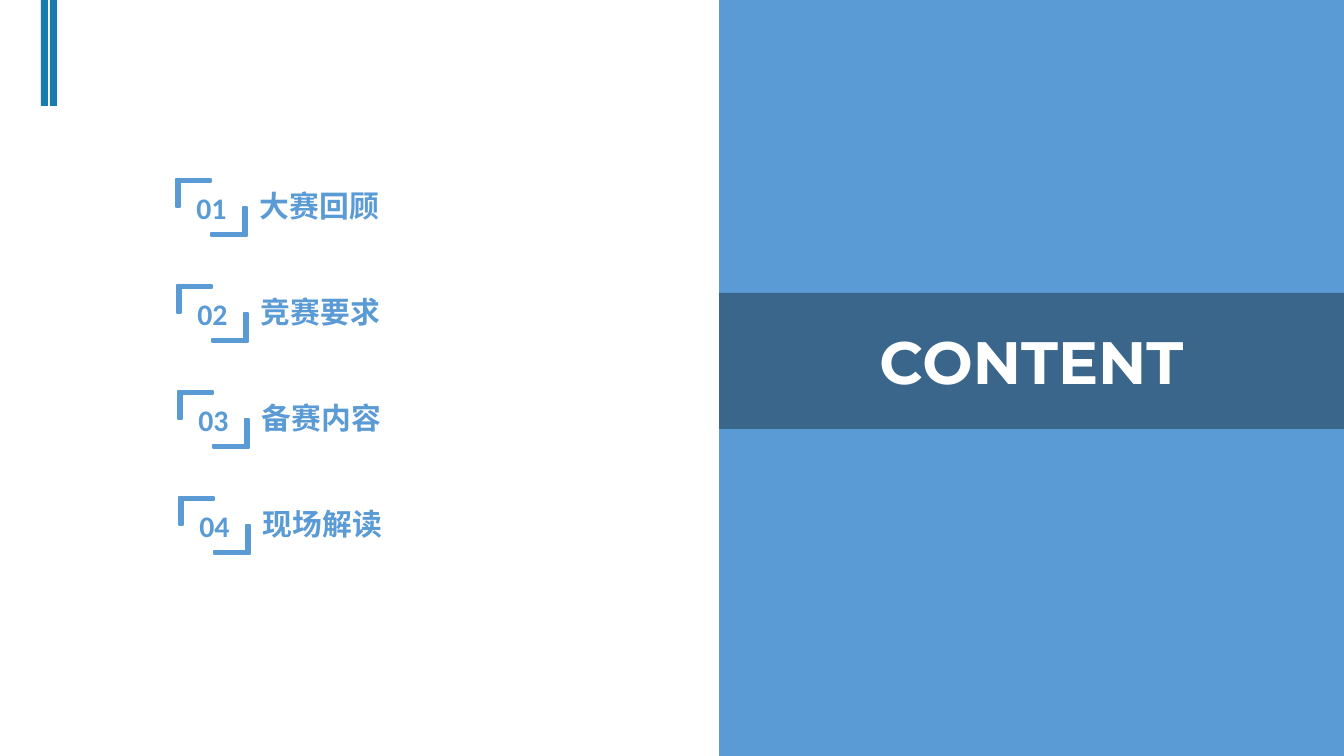
from lxml import etree
from pptx import Presentation
from pptx.dml.color import RGBColor
from pptx.enum.shapes import MSO_SHAPE
from pptx.enum.text import MSO_ANCHOR, PP_ALIGN
from pptx.oxml.ns import qn
from pptx.util import Pt

RECTANGLE = MSO_SHAPE.RECTANGLE
MIDDLE = MSO_ANCHOR.MIDDLE
LEFT, CENTER = PP_ALIGN.LEFT, PP_ALIGN.CENTER
EMU_PER_PX = 914400 / 100.8

BLUE = "5B9BD5"
TEAL = "1A7BAE"
TOPICS = ["大赛回顾", "竞赛要求", "备赛内容", "现场解读"]
ROW_STEP = 106
UPPER_CORNER = [(0, 0), (35, 0), (35, 3), (4, 3), (4, 28), (0, 28)]
LOWER_CORNER = [(67, 28), (71, 28), (71, 57), (35, 57), (35, 54), (67, 54)]


def px(*lengths):
    return [round(length * EMU_PER_PX) for length in lengths]


def write(shape, text, font_name, size, color, alignment):
    """Put one bold line of text in the shape, for Latin and East Asian letters alike."""
    paragraph = shape.text_frame.paragraphs[0]
    paragraph.text = text
    paragraph.alignment = alignment
    run = paragraph.runs[0]
    run.font.name = font_name
    run.font.size = Pt(size)
    run.font.bold = True
    run.font.color.rgb = RGBColor.from_string(color)
    east_asian = etree.SubElement(run.font._element, qn("a:ea"))
    east_asian.set("typeface", font_name)


presentation = Presentation()
presentation.slide_width, presentation.slide_height = px(1344, 756)
slide = presentation.slides.add_slide(presentation.slide_layouts[6])
shapes = slide.shapes

# Plain rectangles: two accent bars, the right panel and its title band
rectangles = [
    (41, 0, 7, 106, TEAL),
    (50, 0, 7, 106, TEAL),
    (719, 0, 625, 756, BLUE),
    (719, 293, 625, 136, "000000"),
]
for left, top, width, height, color in rectangles:
    rectangle = shapes.add_shape(RECTANGLE, *px(left, top, width, height))
    rectangle.shadow.inherit = False
    rectangle.fill.solid()
    rectangle.fill.fore_color.rgb = RGBColor.from_string(color)
    rectangle.line.fill.background()

title_band = rectangle
band_color = title_band._element.spPr.find(qn("a:solidFill"))[0]
etree.SubElement(band_color, qn("a:alpha")).set("val", "34000")
title_band.text_frame.vertical_anchor = MIDDLE
write(title_band, "CONTENT", "Montserrat", 42.7, "FFFFFF", CENTER)

# Numbered topics, each row one pixel further right
for row, topic in enumerate(TOPICS):
    left, top = 176 + row, 179 + row * ROW_STEP

    label = shapes.add_textbox(*px(left + 74, top + 4, 535, 46))
    label.text_frame.word_wrap = True
    write(label, topic, "Noto Sans CJK SC", 21.3, BLUE, LEFT)

    builder = shapes.build_freeform(*UPPER_CORNER[0], scale=EMU_PER_PX)
    builder.add_line_segments(UPPER_CORNER[1:])
    builder.move_to(*LOWER_CORNER[0])
    builder.add_line_segments(LOWER_CORNER[1:])
    bracket = builder.convert_to_shape(*px(left, top))
    bracket.shadow.inherit = False
    bracket.fill.solid()
    bracket.fill.fore_color.rgb = RGBColor.from_string(BLUE)
    bracket.line.color.rgb = RGBColor.from_string(BLUE)
    bracket.line.width = Pt(1)
    bracket.text_frame.vertical_anchor = MIDDLE
    write(bracket, f"{row + 1:02}", "Calibri", 21.3, BLUE, CENTER)

presentation.save("out.pptx")
